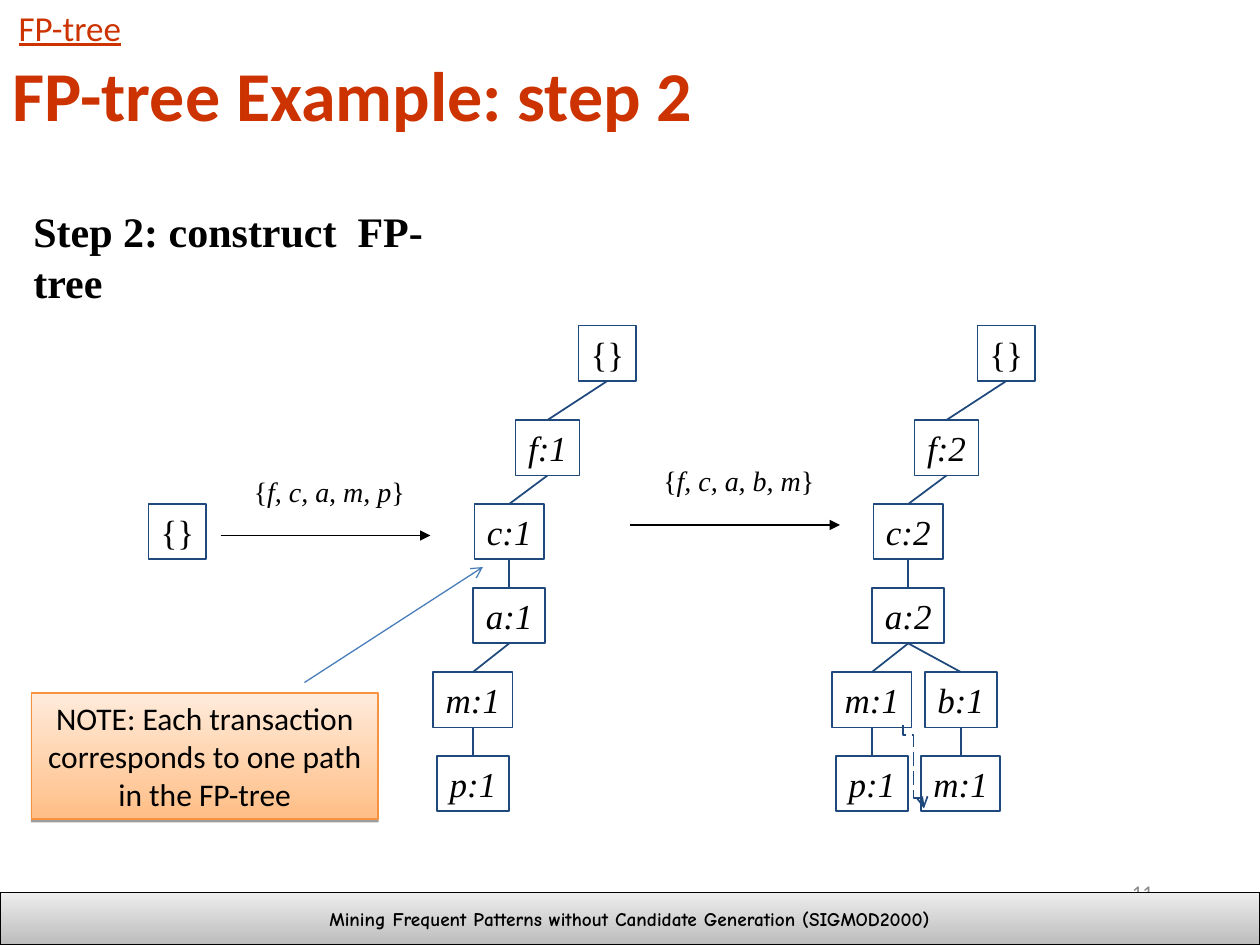
from dataclasses import dataclass

from lxml.etree import SubElement
from pptx import Presentation
from pptx.dml.color import RGBColor
from pptx.enum.dml import MSO_LINE_DASH_STYLE as Dash
from pptx.enum.shapes import MSO_CONNECTOR as Connector, MSO_SHAPE as Shape
from pptx.enum.text import MSO_ANCHOR as Anchor, PP_ALIGN as Align
from pptx.oxml.ns import qn
from pptx.util import Inches, Pt


@dataclass(frozen=True)
class Theme:
    accent: str = "CC3300"
    ink: str = "000000"
    muted: str = "898989"
    tree: str = "1F497D"
    pointer: str = "4A7EBB"
    note_line: str = "F69240"
    note_fill: tuple = ("FFBE86", "FFEBDB")
    footer_fill: tuple = ("BCBCBC", "EDEDED")
    sans: str = "Calibri"
    serif: str = "Times New Roman"
    comic: str = "Comic Neue"
    title: int = 40
    heading: int = 24
    label: int = 20
    note: int = 18
    items: int = 16
    number: int = 12
    footer: int = 11


THEME = Theme()
COLUMNS, ROWS = 120, 90  # square grid cells, twelve to the inch
NODE_HEIGHT = 5.28
NODE_WIDTHS = {"{": 5.5, "f": 6.1, "c": 6.6, "a": 6.85, "b": 6.85, "p": 6.85, "m": 7.55}
LEVEL_ROWS = (31, 40, 48, 56, 64, 72)
TREE_SHIFT = 38

# Each node: label, centre column, level, index of its parent
FIRST_TREE = [("{}", 57.85, 0, None), ("f:1", 52.15, 1, 0), ("c:1", 48.5, 2, 1),
              ("a:1", 48.5, 3, 2), ("m:1", 45.05, 4, 3), ("p:1", 45.05, 5, 4)]
SECOND_TREE = [("{}", 57.85, 0, None), ("f:2", 52.15, 1, 0), ("c:2", 48.5, 2, 1),
               ("a:2", 48.5, 3, 2), ("m:1", 45.05, 4, 3), ("p:1", 45.05, 5, 4),
               ("b:1", 53.5, 4, 3), ("m:1", 53.5, 5, 6)]


def cells(*counts):
    return [Inches(count / 12) for count in counts]


def color(code):
    return RGBColor.from_string(code)


def write(box, runs, font, size, ink=THEME.ink, align=Align.LEFT,
          anchor=Anchor.TOP, wrap=False, bold=False, underline=False):
    """Fill a box with one paragraph of (text, italic) runs."""
    frame = box.text_frame
    frame.word_wrap = wrap
    frame.vertical_anchor = anchor
    para = frame.paragraphs[0]
    para.alignment = align
    for text, italic in runs:
        span = para.add_run()
        span.text = text
        span.font.name, span.font.size = font, Pt(size)
        span.font.color.rgb = color(ink)
        span.font.bold, span.font.italic = bold, italic
        span.font.underline = underline


def add_text(page, area, runs, font, size, **style):
    write(page.shapes.add_textbox(*cells(*area)), runs, font, size, **style)


def style_line(shape, ink, width, head=None):
    """Colour the outline, drop the shadow and add an end arrowhead if named."""
    shape.line.color.rgb = color(ink)
    shape.line.width = Pt(width)
    if head:
        SubElement(shape.line._get_or_add_ln(), qn("a:tailEnd"), type=head)
    if hasattr(shape, "shadow"):
        shape.shadow.inherit = False
    else:
        SubElement(shape._element.spPr, qn("a:effectLst"))


def add_line(page, start, end, ink, width, head=None):
    line = page.shapes.add_connector(Connector.STRAIGHT, *cells(*start, *end))
    style_line(line, ink, width, head)
    return line


def add_panel(page, area, fill, ink):
    """Rectangle with a bottom-to-top gradient and a thin shadow below."""
    panel = page.shapes.add_shape(Shape.RECTANGLE, *cells(*area))
    panel.fill.gradient()
    panel.fill.gradient_angle = 90
    for stop, code in zip(panel.fill.gradient_stops, fill):
        stop.color.rgb = color(code)
    style_line(panel, ink, 0.75)
    effects = panel._element.spPr.find(qn("a:effectLst"))
    shadow = SubElement(effects, qn("a:outerShdw"), blurRad="0", dist=str(Pt(1.6)),
                        dir="5400000", rotWithShape="0")
    shade = SubElement(shadow, qn("a:srgbClr"), val=THEME.ink)
    SubElement(shade, qn("a:alpha"), val="38000")
    return panel


def add_node(page, label, center, row):
    width = NODE_WIDTHS[label[0]]
    node = page.shapes.add_shape(
        Shape.RECTANGLE, *cells(center - width / 2, row, width, NODE_HEIGHT))
    node.fill.background()
    style_line(node, THEME.tree, 1)
    write(node, [(label, label != "{}")], THEME.serif, THEME.label,
          align=Align.CENTER, anchor=Anchor.MIDDLE)
    return node


def add_tree(page, tree, shift=0):
    nodes = []
    for label, center, level, parent in tree:
        node = add_node(page, label, center + shift, LEVEL_ROWS[level])
        nodes.append(node)
        if parent is not None:
            edge = add_line(page, (0, 0), (0, 0), THEME.tree, 1)
            edge.begin_connect(nodes[parent], 2)
            edge.end_connect(node, 0)


def add_insertion(page, items, text_area, start, end):
    """Arrow for one transaction, with its item set above."""
    add_text(page, text_area, [("{", False), (items, True), ("}", False)],
             THEME.serif, THEME.items)
    add_line(page, start, end, THEME.ink, 0.75, "triangle")


def bezier(points, steps=8):
    """Points along a cubic curve, without its start."""
    for step in range(1, steps + 1):
        t = step / steps
        weights = ((1 - t) ** 3, 3 * t * (1 - t) ** 2, 3 * t * t * (1 - t), t ** 3)
        yield tuple(sum(w * point[axis] for w, point in zip(weights, points))
                    for axis in (0, 1))


def add_node_link(page):
    """Dashed curve that joins the two m nodes."""
    controls = [(86, 69), (86.4, 69.5), (86.9, 70), (87, 71), (87.1, 72), (86.9, 74),
                (87, 75), (87.1, 76), (87.6, 76.4), (88, 76.9)]
    curve = [point for first in (0, 3, 6) for point in bezier(controls[first:first + 4])]
    builder = page.shapes.build_freeform(*controls[0], scale=Inches(1) / 12)
    builder.add_line_segments(curve, close=False)
    link = builder.convert_to_shape()
    link.fill.background()
    style_line(link, THEME.tree, 1, "arrow")
    link.line.dash_style = Dash.LONG_DASH


def add_title(page, text):
    title = page.shapes.title
    title.left, title.top, title.width, title.height = cells(0, 4, 117, 9.8)
    write(title, [(text, False)], THEME.sans, THEME.title, ink=THEME.accent,
          anchor=Anchor.MIDDLE, wrap=True, bold=True)


def add_footer(page):
    add_text(page, (86, 82, 25, 6), [("11", False)], THEME.sans, THEME.number,
             ink=THEME.muted, align=Align.RIGHT, anchor=Anchor.MIDDLE, wrap=True)
    bar = add_panel(page, (0, 85, COLUMNS, ROWS - 85), THEME.footer_fill, THEME.ink)
    write(bar, [("Mining Frequent Patterns without Candidate Generation (SIGMOD2000)", False)],
          THEME.comic, THEME.footer, align=Align.CENTER, anchor=Anchor.MIDDLE, bold=True)


def add_note(page):
    note = add_panel(page, (3, 66, 33, 12), THEME.note_fill, THEME.note_line)
    write(note, [("NOTE: Each transaction corresponds to one path in the FP-tree", False)],
          THEME.sans, THEME.note, align=Align.CENTER, wrap=True)
    add_line(page, (29, 65), (46, 54), THEME.pointer, 0.75, "arrow")


def main():
    deck = Presentation()
    deck.slide_width, deck.slide_height = cells(COLUMNS, ROWS)
    page = deck.slides.add_slide(deck.slide_layouts[5])
    add_footer(page)
    add_title(page, "FP-tree Example: step 2")
    add_text(page, (0.6, 0, 12.2, 5.3), [("FP-tree", False)], THEME.sans, THEME.label,
             ink=THEME.accent, underline=True)
    add_text(page, (2, 19, 46, 6), [("Step 2: construct  FP-tree", False)],
             THEME.serif, THEME.heading, bold=True)
    add_node(page, "{}", 16.9, LEVEL_ROWS[2])
    add_insertion(page, "f, c, a, m, p", (23, 44.6, 16.8, 4.4), (21, 51), (41, 51))
    add_tree(page, FIRST_TREE)
    add_insertion(page, "f, c, a, b, m", (62, 43.6, 16.8, 4.4), (60, 50), (80, 50))
    add_tree(page, SECOND_TREE, TREE_SHIFT)
    add_node_link(page)
    add_note(page)
    deck.save("out.pptx")


if __name__ == "__main__":
    main()
